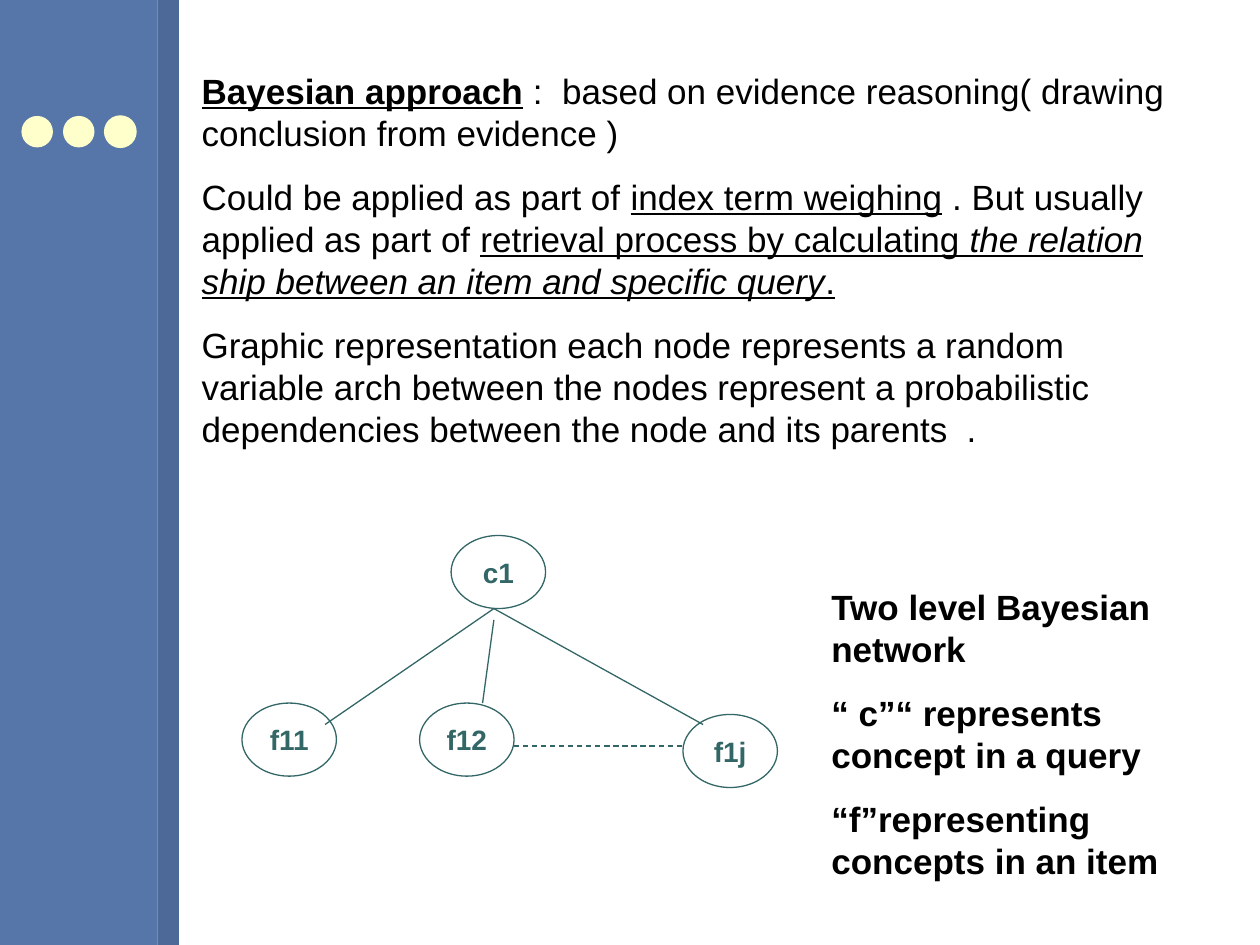
from lxml.etree import SubElement
from pptx import Presentation
from pptx.dml.color import RGBColor
from pptx.enum.dml import MSO_LINE
from pptx.enum.shapes import MSO_CONNECTOR, MSO_SHAPE
from pptx.enum.text import MSO_ANCHOR, MSO_AUTO_SIZE, PP_ALIGN
from pptx.oxml.ns import qn
from pptx.util import Inches, Pt

FONT = "Arial"
BLACK, WHITE, TEAL = "000000", "FFFFFF", "336666"
BLUE, DARK_BLUE, CREAM = "5675A9", "4D6997", "FFFFCC"
LINE_WIDTH = 0.74
NODE_WIDTH, NODE_HEIGHT = 0.75, 0.58

APPROACH = [
    [("Bayesian approach", {"bold": True, "underline": True}),
     (" ", {"bold": True}),
     (":  based on evidence reasoning( drawing conclusion from evidence )", {})],
    [("Could be applied as part of ", {}),
     ("index term weighing", {"underline": True}),
     (" . But usually applied as part of ", {}),
     ("retrieval process by calculating ", {"underline": True}),
     ("the relation ship between an item and specific query",
      {"underline": True, "italic": True}),
     (".", {"underline": True})],
    [("Graphic representation each node represents a random variable arch "
      "between the nodes represent a probabilistic dependencies between the "
      "node and its parents  .", {})],
]
LEGEND = [
    [(text, {"bold": True})] for text in (
        "Two level Bayesian network",
        "“ c”“ represents concept in a query ",
        "“f”representing concepts in an item ",
    )
]


def color(value):
    """Turn a hex string into a colour."""
    return RGBColor.from_string(value)


def add_run(paragraph, text, size=20, fill=BLACK, bold=False, italic=False, underline=False):
    """Append formatted text to a paragraph."""
    run = paragraph.add_run()
    run.text = text
    font = run.font
    font.name, font.size = FONT, Pt(size)
    font.bold, font.italic, font.underline = bold, italic, underline
    font.color.rgb = color(fill)


def write_paragraphs(text_frame, paragraphs):
    """Fill a text frame with unbulleted paragraphs of formatted runs."""
    text_frame.word_wrap = True
    text_frame.auto_size = MSO_AUTO_SIZE.SHAPE_TO_FIT_TEXT
    for index, runs in enumerate(paragraphs):
        paragraph = text_frame.add_paragraph() if index else text_frame.paragraphs[0]
        paragraph.space_before = Pt(12.5)
        properties = paragraph._p.get_or_add_pPr()
        properties.set("marL", "0")
        properties.set("indent", "0")
        SubElement(properties, qn("a:buNone"))
        for text, style in runs:
            add_run(paragraph, text, **style)


def add_filled_shape(slide, kind, left, top, width, height, fill, line=None):
    """Add a flat preset shape with an optional outline."""
    shape = slide.shapes.add_shape(
        kind, Inches(left), Inches(top), Inches(width), Inches(height))
    shape.shadow.inherit = False
    shape.fill.solid()
    shape.fill.fore_color.rgb = color(fill)
    if line:
        shape.line.color.rgb = color(line)
        shape.line.width = Pt(LINE_WIDTH)
    else:
        shape.line.fill.background()
    return shape


def add_sidebar(slide, left, top, height):
    """Draw the two-tone side band with its row of three dots."""
    add_filled_shape(slide, MSO_SHAPE.RECTANGLE, left, top, 1.25, height, BLUE)
    add_filled_shape(slide, MSO_SHAPE.RECTANGLE, left + 1.25, top, 0.17, height, DARK_BLUE)
    for index in range(3):
        add_filled_shape(slide, MSO_SHAPE.OVAL, left + 0.17 + index * 0.33, top + 0.92,
                         0.25, 0.25, CREAM, line=CREAM if index == 2 else None)


def add_approach(slide, left, top, width, height):
    """Place the explanation in the body placeholder."""
    body = slide.placeholders[1]
    body.left, body.top = Inches(left), Inches(top)
    body.width, body.height = Inches(width), Inches(height)
    write_paragraphs(body.text_frame, APPROACH)


def add_legend(slide, left, top, width, height):
    """Add the text that explains the network."""
    box = slide.shapes.add_textbox(Inches(left), Inches(top), Inches(width), Inches(height))
    write_paragraphs(box.text_frame, LEGEND)


def add_node(slide, label, left, top):
    """Add one labelled network node."""
    node = add_filled_shape(slide, MSO_SHAPE.OVAL, left, top,
                            NODE_WIDTH, NODE_HEIGHT, WHITE, line=TEAL)
    text_frame = node.text_frame
    text_frame.word_wrap = False
    text_frame.vertical_anchor = MSO_ANCHOR.MIDDLE
    paragraph = text_frame.paragraphs[0]
    paragraph.alignment = PP_ALIGN.CENTER
    add_run(paragraph, label, size=16, fill=TEAL, bold=True)


def add_edge(slide, start_x, start_y, end_x, end_y, dash=None):
    """Add one straight network edge."""
    edge = slide.shapes.add_connector(MSO_CONNECTOR.STRAIGHT, Inches(start_x),
                                      Inches(start_y), Inches(end_x), Inches(end_y))
    edge.line.color.rgb = color(TEAL)
    edge.line.width = Pt(LINE_WIDTH)
    if dash:
        edge.line.dash_style = dash
    SubElement(edge._element.spPr, qn("a:effectLst"))


def add_network(slide, left, top):
    """Draw the two-level network from its top left corner."""
    nodes = [("c1", 1.66, 0), ("f11", 0, 1.33), ("f12", 1.41, 1.33), ("f1j", 3.5, 1.42)]
    edges = [
        (2, 0.58, 0.66, 1.5, None),
        (2, 0.67, 1.91, 1.33, None),
        (2, 0.58, 3.66, 1.5, None),
        (2.16, 1.67, 3.5, 1.67, MSO_LINE.DASH),
    ]
    for label, x, y in nodes:
        add_node(slide, label, left + x, top + y)
    for start_x, start_y, end_x, end_y, dash in edges:
        add_edge(slide, left + start_x, top + start_y, left + end_x, top + end_y, dash)


def main():
    """Build and save the slide."""
    presentation = Presentation()
    presentation.slide_width, presentation.slide_height = Inches(10), Inches(7.5)
    slide = presentation.slides.add_slide(presentation.slide_layouts[1])
    title = slide.shapes.title._element
    title.getparent().remove(title)
    add_sidebar(slide, 0, 0, 7.5)
    add_approach(slide, 1.5, 0.5, 8, 3.12)
    add_network(slide, 1.92, 4.25)
    add_legend(slide, 6.5, 4.6, 2.83, 2.45)
    presentation.save("out.pptx")


main()
